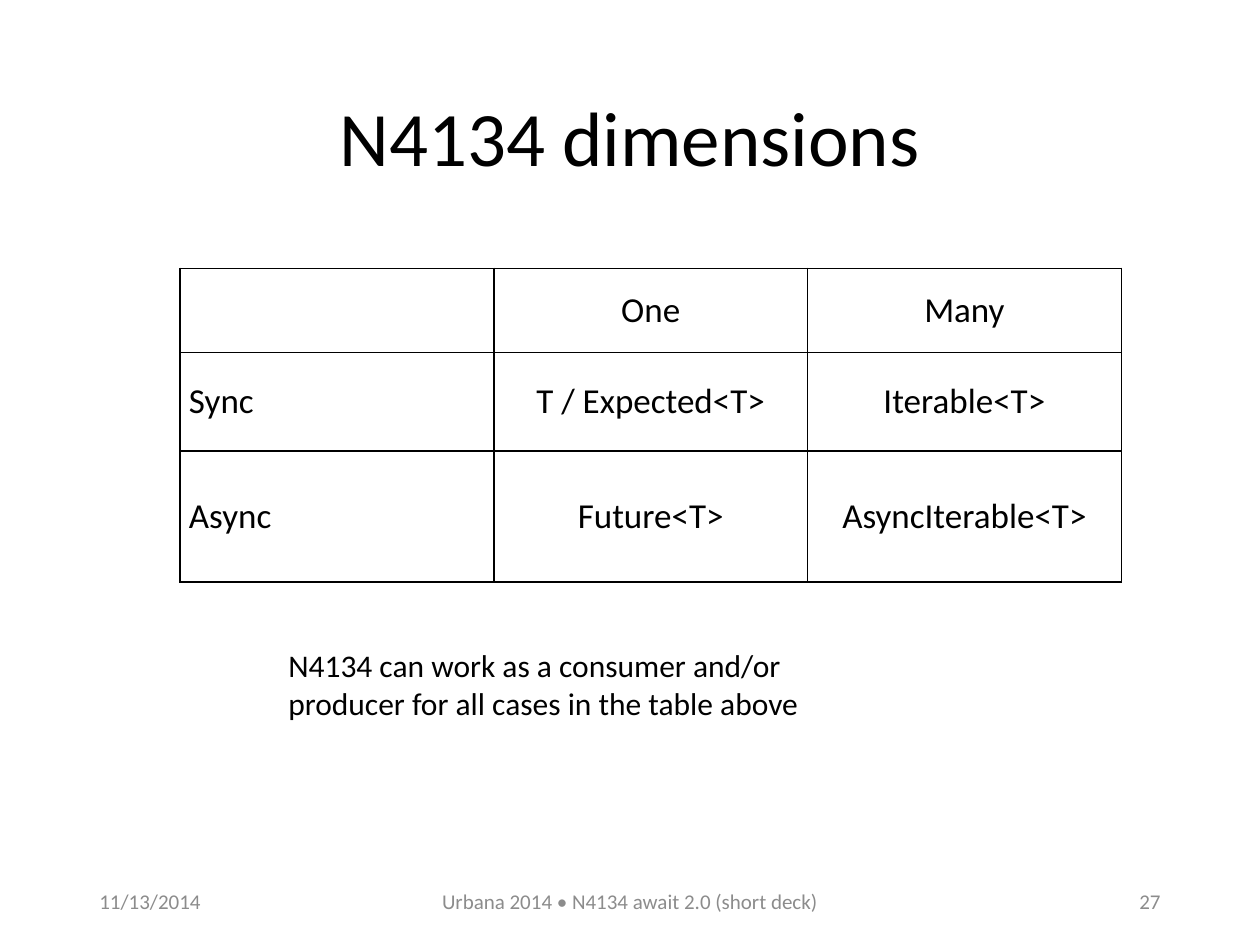
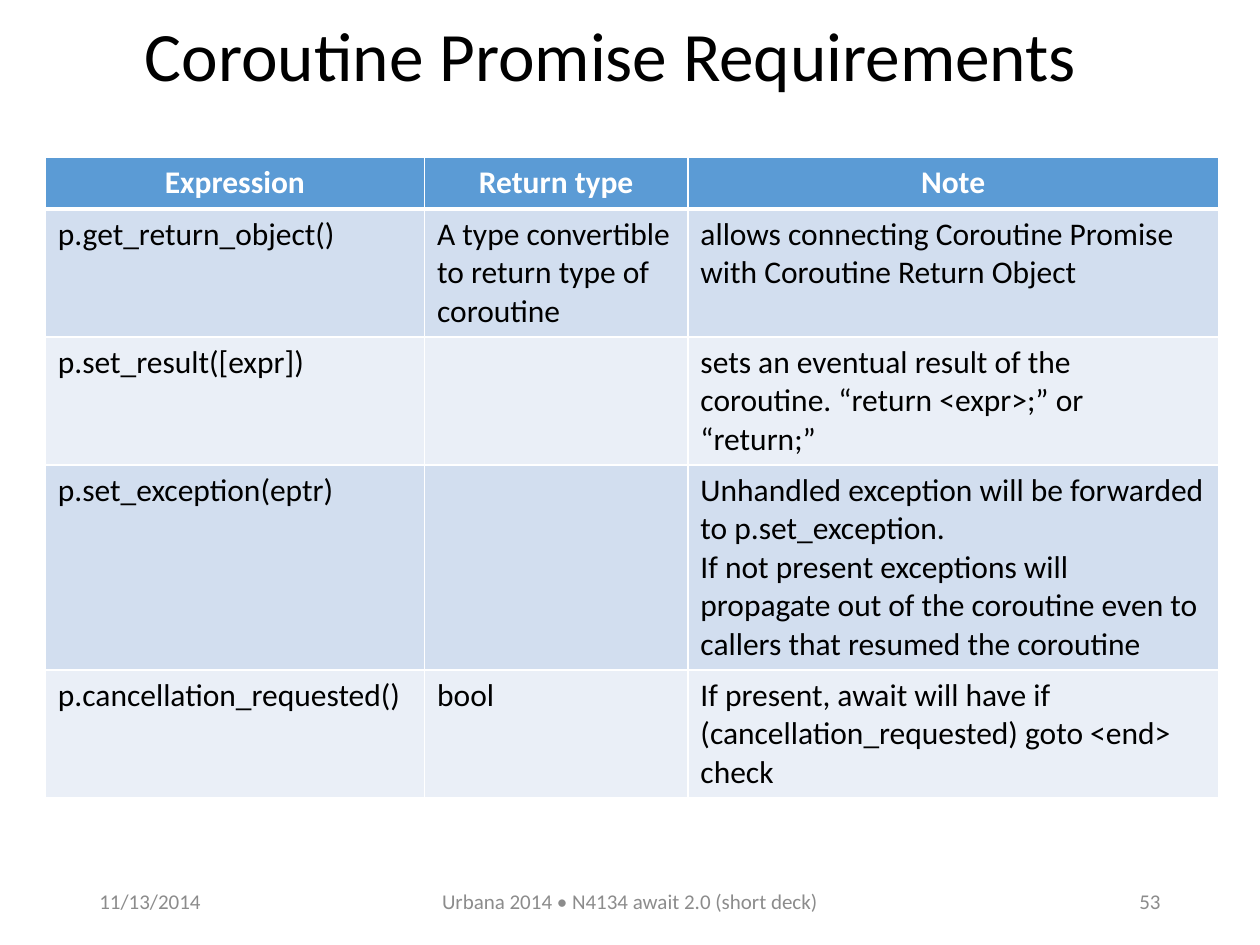
import pptx
import pptx.dml.color
import pptx.enum.text
import pptx.oxml
import pptx.oxml.ns
import pptx.util

PX = 9144
FONT = "Calibri"
COLORS = {
    "text": "000000",
    "footer": "8C8C8C",
    "white": "FFFFFF",
    "header": "5B9BD5",
    "odd": "D2DEEF",
    "even": "EAEFF7",
}
ALIGN = pptx.enum.text.PP_ALIGN
ANCHOR = pptx.enum.text.MSO_ANCHOR
AUTO_SIZE = pptx.enum.text.MSO_AUTO_SIZE

FOOTER_BOX = (69, 695, 862, 40)
DATE = "11/13/2014"
DECK = "Urbana 2014 • N4134 await 2.0 (short deck)"

DIMENSIONS = [
    ["", "One", "Many"],
    ["Sync", "T / Expected<T>", "Iterable<T>"],
    ["Async", "Future<T>", "AsyncIterable<T>"],
]
REQUIREMENTS = [
    ["Expression", "Return type", "Note"],
    ["p.get_return_object()", "A type convertible to return type of coroutine",
     "allows connecting Coroutine Promise with Coroutine Return Object"],
    ["p.set_result([expr])", "",
     "sets an eventual result of the coroutine. “return <expr>;” or “return;”"],
    ["p.set_exception(eptr)", "",
     "Unhandled exception will be forwarded to p.set_exception.\n"
     "If not present exceptions will propagate out of the coroutine "
     "even to callers that resumed the coroutine"],
    ["p.cancellation_requested()", "bool",
     "If present, await will have if (cancellation_requested) goto <end> check"],
]


def emu(*lengths):
    return [pptx.util.Emu(length * PX) for length in lengths]


def rgb(color):
    return pptx.dml.color.RGBColor.from_string(COLORS[color])


def write(tf, text, size, color="text", align=ALIGN.LEFT, bold=False):
    tf.text = text
    for p in tf.paragraphs:
        p.alignment = align
        p.font.name = FONT
        p.font.size = pptx.util.Pt(size)
        p.font.bold = bold
        p.font.color.rgb = rgb(color)


def add_text(slide, box, text, size, color="text", align=ALIGN.LEFT,
             anchor=ANCHOR.TOP, auto_size=AUTO_SIZE.NONE):
    tf = slide.shapes.add_textbox(*emu(*box)).text_frame
    tf.word_wrap = True
    tf.auto_size = auto_size
    tf.vertical_anchor = anchor
    write(tf, text, size, color, align)


def add_footer(slide, box, number):
    left, top, width, height = box
    side, middle = 225, 338
    parts = [
        (left, side, DATE, ALIGN.LEFT),
        (left + (width - middle) // 2, middle, DECK, ALIGN.CENTER),
        (left + width - side, side, str(number), ALIGN.RIGHT),
    ]
    for x, w, text, align in parts:
        add_text(slide, (x, top, w, height), text, 12, "footer", align, ANCHOR.MIDDLE)


def add_slide(prs, title, box, size, align, number):
    slide = prs.slides.add_slide(prs.slide_layouts[5])
    sp = slide.shapes.title
    sp.left, sp.top, sp.width, sp.height = emu(*box)
    tf = sp.text_frame
    tf.word_wrap = True
    tf.auto_size = AUTO_SIZE.NONE
    tf.vertical_anchor = ANCHOR.MIDDLE
    write(tf, title, size, align=align)
    tf.paragraphs[0].line_spacing = 0.9
    add_footer(slide, FOOTER_BOX, number)
    return slide


def set_borders(cell, color, top=1, bottom=1):
    tc_pr = cell._tc.get_or_add_tcPr()
    for side, width in zip("LRTB", (1, 1, top, bottom)):
        tc_pr.append(pptx.oxml.parse_xml(
            f'<a:ln{side} {pptx.oxml.ns.nsdecls("a")} w="{pptx.util.Pt(width)}">'
            f'<a:solidFill><a:srgbClr val="{COLORS[color]}"/></a:solidFill></a:ln{side}>'))


def add_grid(slide, left, top, cols, rows):
    frame = slide.shapes.add_table(
        len(rows), len(cols), *emu(left, top, sum(cols), sum(rows)))
    table = frame.table
    for column, width in zip(table.columns, emu(*cols)):
        column.width = width
    for row, height in zip(table.rows, emu(*rows)):
        row.height = height
    return table


def add_dimensions_table(slide, left, top):
    table = add_grid(slide, left, top, [249] * 3, [67, 78, 104])
    table.first_row = table.horz_banding = False
    for i, row in enumerate(DIMENSIONS):
        for j, text in enumerate(row):
            cell = table.cell(i, j)
            set_borders(cell, "text")
            cell.fill.background()
            cell.vertical_anchor = ANCHOR.MIDDLE
            cell.margin_left, cell.margin_right = emu(7, 7)
            cell.margin_top, cell.margin_bottom = emu(4, 4)
            write(cell.text_frame, text, 20, align=ALIGN.CENTER if j else ALIGN.LEFT)


def add_requirements_table(slide, left, top):
    table = add_grid(slide, left, top, [301, 209, 421], [41] * len(REQUIREMENTS))
    for i, row in enumerate(REQUIREMENTS):
        header = i == 0
        fill = "header" if header else ("even", "odd")[i % 2]
        for j, text in enumerate(row):
            cell = table.cell(i, j)
            set_borders(cell, "white", top=3 if i == 1 else 1, bottom=3 if header else 1)
            cell.fill.solid()
            cell.fill.fore_color.rgb = rgb(fill)
            write(cell.text_frame, text, 18, "white" if header else "text",
                  ALIGN.CENTER if header else ALIGN.LEFT, header)


def dimensions_slide(prs):
    slide = add_slide(prs, "N4134 dimensions", (69, 40, 862, 145), 44, ALIGN.CENTER, 27)
    add_dimensions_table(slide, 143, 213)
    add_text(slide, (219, 508, 449, 71),
             "N4134 can work as a consumer and/or producer for all cases in the table above",
             18, auto_size=AUTO_SIZE.SHAPE_TO_FIT_TEXT)


def requirements_slide(prs):
    slide = add_slide(prs, "Coroutine Promise Requirements", (105, 12, 889, 70),
                      39.6, ALIGN.LEFT, 53)
    add_requirements_table(slide, 36, 125)


def main():
    prs = pptx.Presentation()
    prs.slide_width, prs.slide_height = emu(1000, 750)
    dimensions_slide(prs)
    requirements_slide(prs)
    prs.save("out.pptx")


if __name__ == "__main__":
    main()
